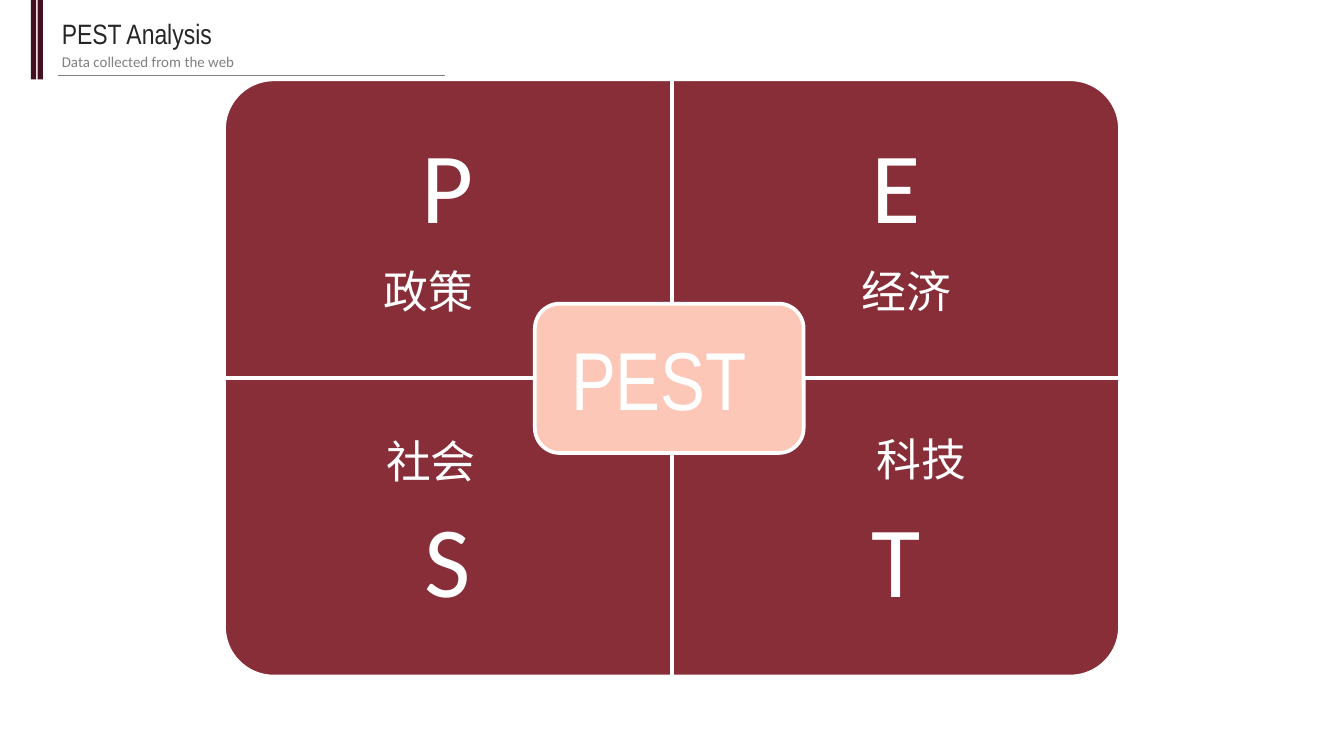
from lxml import etree
from pptx import Presentation
from pptx.dml.color import RGBColor
from pptx.enum import shapes, text
from pptx.oxml.ns import qn
from pptx.util import Inches, Pt

THEME = {
    "wine": "882E38", "peach": "FCC7B6", "dark": "46101F",
    "white": "FFFFFF", "ink": "262626", "gray": "808080",
    "head": "Arial Narrow", "body": "Calibri",
    "title": 15, "note": 8, "letter": 54, "label": 24, "core": 44,
}
TITLE = "PEST Analysis"
NOTE = "Data collected from the web"
CORE = "PEST"
# letter, column, row, rotation, label, label box
PARTS = [
    ("P", 0, 0, 270, "政策", (2.72, 1.92, 0.87, 0.48)),
    ("E", 1, 0, 0, "经济", (6.31, 1.92, 0.84, 0.48)),
    ("S", 0, 1, 180, "社会", (2.7, 3.19, 0.91, 0.48)),
    ("T", 1, 1, 90, "科技", (6.31, 3.17, 0.95, 0.48)),
]
PAGE = 10
WIDE = PAGE / 3
HIGH = WIDE * 2 / 3
LEFT, TOP = PAGE / 2 - WIDE, 0.59
BAND = 0.75 * HIGH  # letters keep to the outer three quarters
INSET = (0.07, 0.04, 0.07, 0.04)
KIND = shapes.MSO_SHAPE
ALIGN = text.PP_ALIGN
ANCHOR = text.MSO_ANCHOR


def color(name):
    return RGBColor.from_string(THEME[name])


def draw(home, kind, box, fill, edge=None, turn=0):
    shape = home.add_shape(kind, *map(Inches, box))
    shape.shadow.inherit = False
    shape.rotation = turn
    shape.fill.solid()
    shape.fill.fore_color.rgb = color(fill)
    if edge:
        shape.line.color.rgb = color(edge)
        shape.line.width = Pt(2)
    else:
        shape.line.fill.background()


def write(shape, words, size, face, ink, align=ALIGN.LEFT,
          anchor=ANCHOR.TOP, inset=INSET, gap=1.0):
    frame = shape.text_frame
    sides = ("left", "top", "right", "bottom")
    form = {"margin_" + s: Inches(v) for s, v in zip(sides, inset)}
    form.update(word_wrap=True, vertical_anchor=anchor,
                auto_size=text.MSO_AUTO_SIZE.NONE)
    for key, value in form.items():
        setattr(frame, key, value)
    para = frame.paragraphs[0]
    para.alignment = align
    para.line_spacing = gap
    run = para.add_run()
    run.text = words
    run.font.size = Pt(THEME[size])
    run.font.name = THEME[face]
    run.font.color.rgb = color(ink)


def label(home, box, *args, **form):
    write(home.add_textbox(*map(Inches, box)), *args, **form)


def matrix(slide):
    group = slide.shapes.add_group_shape().shapes
    for letter, col, row, turn, _, _ in PARTS:
        x, y = LEFT + col * WIDE, TOP + row * HIGH
        w, h = (HIGH, WIDE) if turn % 180 else (WIDE, HIGH)
        box = (x + (WIDE - w) / 2, y + (HIGH - h) / 2, w, h)
        draw(group, KIND.ROUND_1_RECTANGLE, box, "wine", "white", turn)
        label(group, (x, y + row * (HIGH - BAND), WIDE, BAND), letter,
              "letter", "body", "white", align=ALIGN.CENTER,
              anchor=ANCHOR.MIDDLE, inset=(0.42,) * 4, gap=0.9)
    draw(group, KIND.ROUNDED_RECTANGLE, (3.98, 2.26, 2, HIGH / 2),
         "peach", "white")
    label(slide.shapes, (4.13, 2.4, 1.5, 0.82), CORE, "core", "head",
          "white", align=ALIGN.RIGHT)
    for *_, words, box in PARTS:
        label(slide.shapes, box, words, "label", "body", "white",
              align=ALIGN.RIGHT)


def header(slide):
    bars = slide.shapes.add_group_shape().shapes
    for x in (0.23, 0.28):
        draw(bars, KIND.RECTANGLE, (x, 0, 0.04, 0.59), "dark")
    title = slide.shapes.title
    spot = dict(left=0.39, top=0.08, width=3.17, height=0.33)
    for key, value in spot.items():
        setattr(title, key, Inches(value))
    write(title, TITLE, "title", "head", "ink")
    rule = slide.shapes.add_connector(
        shapes.MSO_CONNECTOR.STRAIGHT,
        *map(Inches, (0.43, 0.56, 3.31, 0.56)))
    rule.line.color.rgb = color("gray")
    rule.line.width = Pt(0.75)
    etree.SubElement(rule._element.spPr, qn("a:effectLst"))
    label(slide.shapes, (0.39, 0.35, 3.17, 0.21), NOTE, "note", "body", "gray")


def main():
    deck = Presentation()
    deck.slide_width, deck.slide_height = Inches(PAGE), Inches(PAGE * 9 / 16)
    slide = deck.slides.add_slide(deck.slide_layouts[5])
    matrix(slide)
    header(slide)
    deck.save("out.pptx")


if __name__ == "__main__":
    main()
